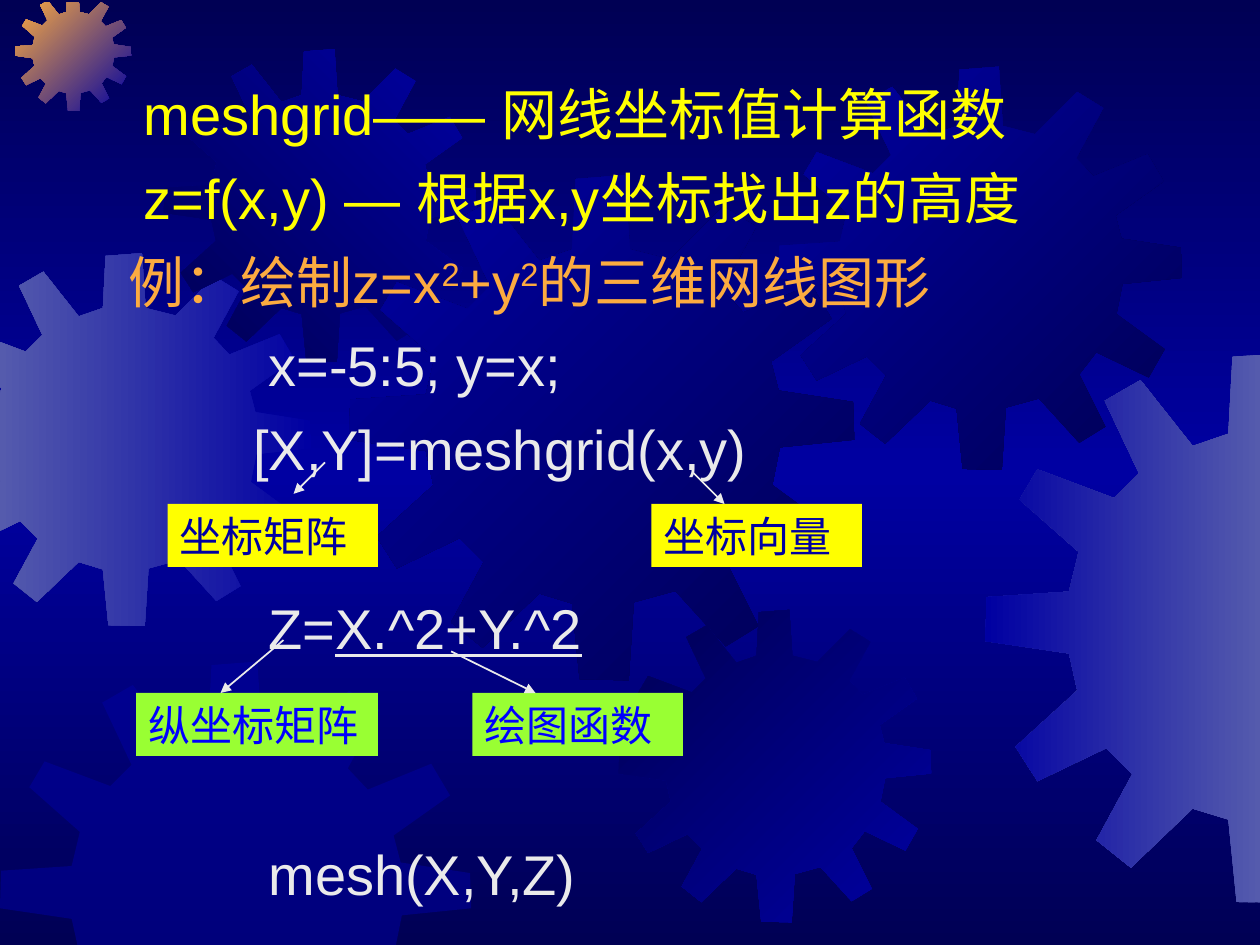
from copy import deepcopy

from lxml.etree import SubElement as Sub
from pptx import Presentation
from pptx.dml.color import RGBColor
from pptx.enum.shapes import MSO_CONNECTOR as Conn, MSO_SHAPE as Shape
from pptx.enum.text import MSO_ANCHOR as Anchor, PP_ALIGN as Align
from pptx.oxml.ns import qn
from pptx.util import Inches, Pt

NAVY, BLUE, STEEL = "000054", "0000A2", "555BAD"
YELLOW, ORANGE, LIGHT, GREEN = "FFFF00", "FCAB40", "EAEAEA", "99FF33"

# Gear outline on a grid of 401 units
GRID = 401
GEAR = [
    (255, 67), (223, 59), (219, 0), (180, 3), (177, 59), (151, 68),
    (113, 20), (87, 35), (112, 88), (94, 106), (38, 85), (25, 107),
    (68, 145), (61, 174), (1, 178), (0, 210), (61, 219), (67, 246),
    (22, 287), (38, 312), (88, 288), (107, 307), (81, 355), (106, 375),
    (151, 332), (177, 340), (183, 400), (222, 401), (226, 339), (259, 330),
    (299, 374), (325, 358), (299, 306), (316, 284), (368, 309), (384, 281),
    (336, 246), (342, 216), (401, 210), (400, 180), (341, 171), (335, 148),
    (383, 114), (367, 87), (313, 109), (296, 91), (323, 41), (297, 25),
]
# Slide edges that cut the gears: axis, limit, side to keep
EDGES = [(0, -0.01, 1), (1, 0.02, 1), (0, 10.01, -1), (1, 7.54, -1)]


def rgb(code):
    return RGBColor.from_string(code)


def clip(pts, axis, limit, side):
    """Keep the part of a polygon on one side of a straight edge."""
    kept = []
    for a, b in zip(pts, pts[1:] + pts[:1]):
        da, db = (side * (p[axis] - limit) for p in (a, b))
        if da >= 0:
            kept.append(a)
        if da * db < 0:
            t = da / (da - db)
            kept.append(tuple(m + t * (n - m) for m, n in zip(a, b)))
    return kept


class Deck:
    body_font = {"name": "Arial", "size": Pt(32)}
    label_font = {"name": "Arial Narrow", "size": Pt(24)}

    def __init__(self):
        self.prs = Presentation()
        self.prs.slide_width, self.prs.slide_height = Inches(10), Inches(7.5)
        self.slide = self.prs.slides.add_slide(self.prs.slide_layouts[1])
        self.shapes = self.slide.shapes
        title = self.shapes.title.element
        title.getparent().remove(title)

    def blend(self, fill, first, last, angle):
        fill.gradient()
        fill.gradient_angle = (360 - angle) % 360
        for stop, color in zip(fill.gradient_stops, (first, last)):
            stop.color.rgb = rgb(color)

    def back(self, edge, middle):
        fill = self.slide.background.fill
        self.blend(fill, middle, edge, 90)
        first = self.slide.element.find(".//" + qn("a:gsLst"))[0]
        outer = deepcopy(first)
        first.set("pos", "50000")
        first.addprevious(outer)
        fill.gradient_stops[0].color.rgb = rgb(edge)

    def gear(self, left, top, size, first, last=None, angle=0):
        pts = [(left + x * size / GRID, top + y * size / GRID) for x, y in GEAR]
        for edge in EDGES:
            pts = clip(pts, *edge)
        pts = [(Inches(x), Inches(y)) for x, y in pts]
        pen = self.shapes.build_freeform(*pts[0])
        pen.add_line_segments(pts[1:], close=True)
        shape = pen.convert_to_shape()
        shape.shadow.inherit = False
        shape.line.fill.background()
        if last:
            self.blend(shape.fill, first, last, angle)
        else:
            shape.fill.solid()
            shape.fill.fore_color.rgb = rgb(first)
            tone = shape.element.spPr.find(".//" + qn("a:srgbClr"))
            Sub(tone, qn("a:alpha"), val="50000")

    def run(self, para, text, color, style):
        run = para.add_run()
        run.text = text
        for name, value in style.items():
            setattr(run.font, name, value)
        run.font.color.rgb = rgb(color)
        return run

    def body(self, box, rows):
        hold = self.slide.placeholders[1]
        self.shapes.element.append(hold.element)  # above the gears
        hold.left, hold.top, hold.width, hold.height = map(Inches, box)
        frame = hold.text_frame
        frame.vertical_anchor = Anchor.TOP
        for i, (color, indent, gap, pitch, parts) in enumerate(rows):
            para = frame.paragraphs[0] if i == 0 else frame.add_paragraph()
            para.space_before = Pt(gap)
            para.line_spacing = pitch
            props = para._p.get_or_add_pPr()
            props.set("marL", str(Inches(indent)))
            props.set("indent", "0")
            Sub(props, qn("a:buNone"))
            for text, mark in parts:
                run = self.run(para, text, color, self.body_font)
                if mark == "sup":
                    run.font._element.set("baseline", "30000")
                elif mark == "line":
                    run.font.underline = True

    def label(self, left, top, width, text, fill, color):
        box = self.shapes.add_shape(
            Shape.RECTANGLE, *map(Inches, (left, top, width, 0.5)))
        box.shadow.inherit = False
        box.fill.solid()
        box.fill.fore_color.rgb = rgb(fill)
        box.line.fill.background()
        box.text_frame.vertical_anchor = Anchor.MIDDLE
        para = box.text_frame.paragraphs[0]
        para.alignment = Align.LEFT
        self.run(para, text, color, self.label_font)

    def arrow(self, *ends):
        link = self.shapes.add_connector(Conn.STRAIGHT, *map(Inches, ends))
        link.line.color.rgb = rgb(LIGHT)
        link.line.width = Pt(1)
        Sub(link.line._get_or_add_ln(), qn("a:tailEnd"), type="triangle")
        Sub(link.element.spPr, qn("a:effectLst"))


def main():
    deck = Deck()

    # Background and gears
    deck.back(NAVY, BLUE)
    for gear in [
        (-0.49, 2.01, 2.96, BLUE, STEEL, 180),
        (0.12, -0.04, 0.92, BLUE, ORANGE, 225),
        (1.3, 0.39, 2.48, BLUE, NAVY, 135),
        (2.77, 1.39, 4.01, NAVY, BLUE, 225),
        (0, 5.25, 3.74, BLUE),
        (4.91, 4.84, 2.48, BLUE, NAVY, 225),
        (6.18, 0.53, 3.2, NAVY, BLUE, 225),
        (7.82, 2.8, 4.37, STEEL, BLUE, 180),
    ]:
        deck.gear(*gear)

    # Text: colour, indent, space before, line spacing, runs
    gap = 9.5
    deck.body((0.92, 0.58, 8.5, 7.19), [
        (YELLOW, 0.12, gap, 1.0, [("meshgrid—— 网线坐标值计算函数", "")]),
        (YELLOW, 0.12, gap, 1.0, [("z=f(x,y) — 根据x,y坐标找出z的高度", "")]),
        (ORANGE, 0, gap, 1.0, [("例：绘制z=x", ""), ("2", "sup"), ("+y", ""),
                               ("2", "sup"), ("的三维网线图形", "")]),
        (LIGHT, 1.11, gap, 1.0, [("x=-5:5; y=x;", "")]),
        (LIGHT, 0.99, gap, 1.0, [("[X,Y]=meshgrid(x,y)", "")]),
        (LIGHT, 1.11, 56, 1.2, [("Z=", ""), ("X.^2+Y.^2", "line")]),
        (LIGHT, 1.11, 102, 1.0, [("mesh(X,Y,Z)", "")]),
    ])

    # Labels and their arrows
    for left, top, width, text, fill, color in [
        (1.33, 4, 1.67, "坐标矩阵", YELLOW, BLUE),
        (5.17, 4, 1.67, "坐标向量", YELLOW, BLUE),
        (1.08, 5.5, 1.92, "纵坐标矩阵", GREEN, "0000FF"),
        (3.75, 5.5, 1.67, "绘图函数", GREEN, "0000FF"),
    ]:
        deck.label(left, top, width, text, fill, color)
    for ends in [(2.58, 3.67, 2.33, 3.92), (5.5, 3.75, 5.75, 4),
                 (2.25, 5.08, 1.75, 5.5), (3.58, 5.17, 4.25, 5.5)]:
        deck.arrow(*ends)

    deck.prs.save("out.pptx")


if __name__ == "__main__":
    main()
